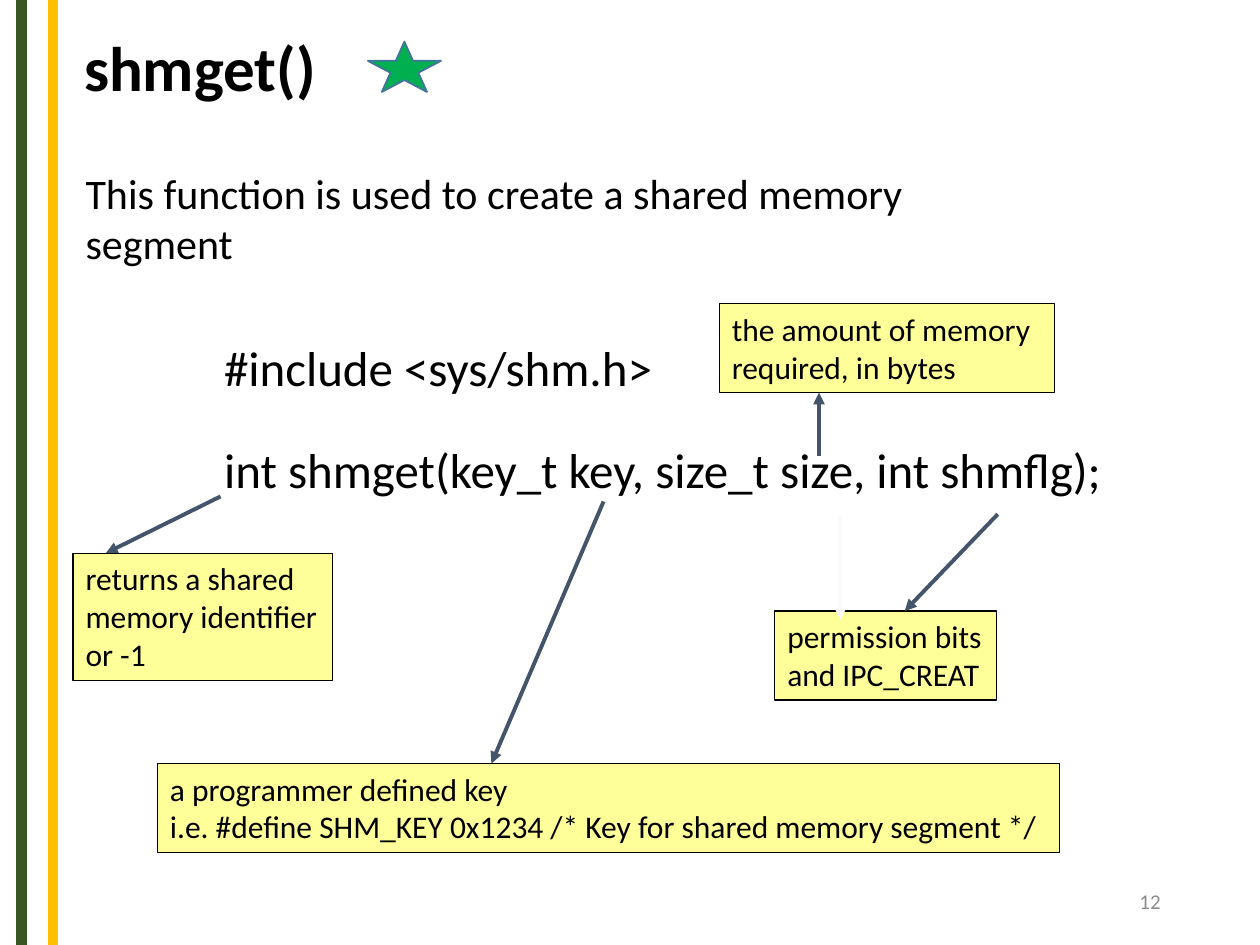
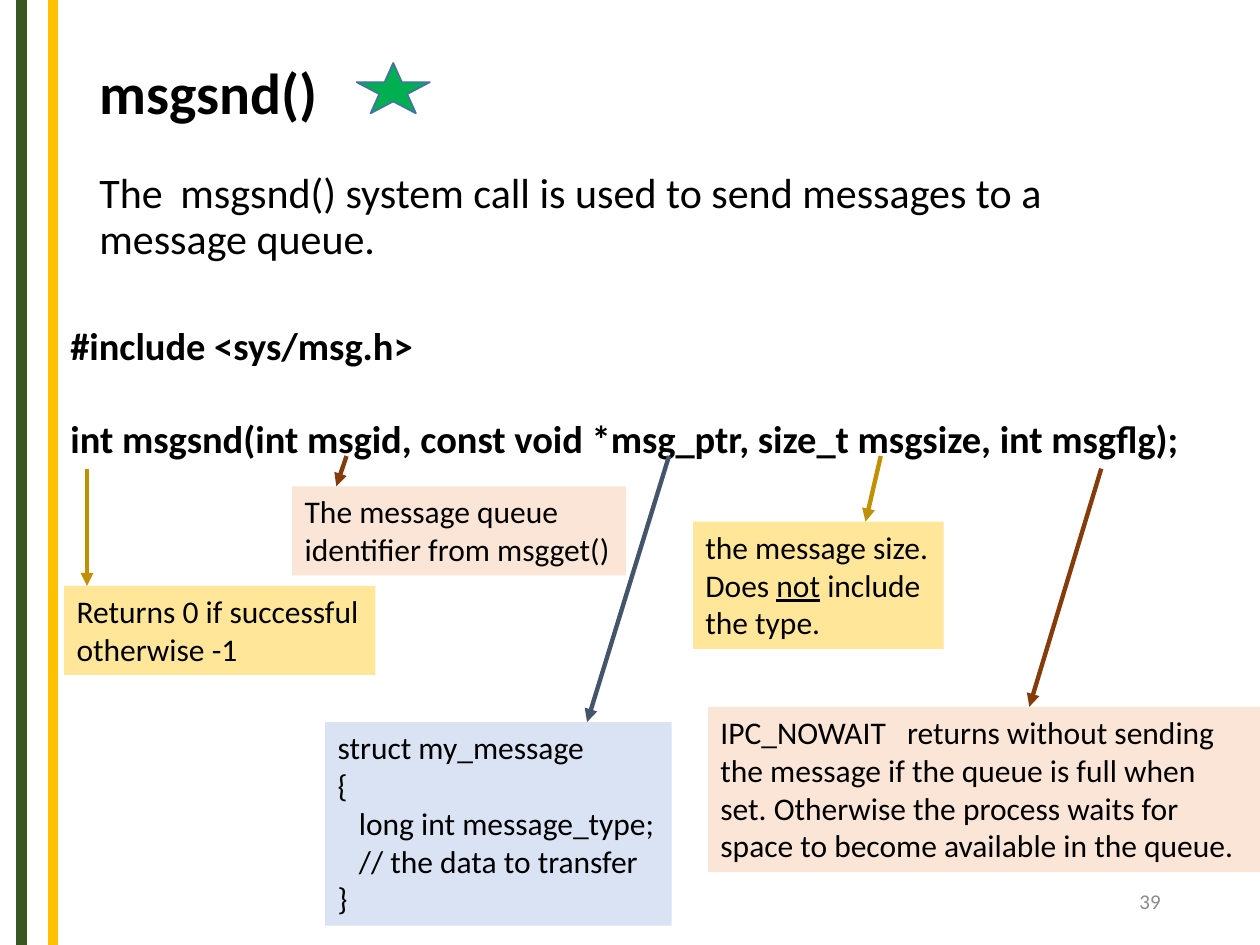
from dataclasses import dataclass

from lxml import etree
from pptx import Presentation
from pptx import util as u
from pptx.dml.color import RGBColor
from pptx.enum import shapes, text
from pptx.oxml.ns import qn


@dataclass(frozen=True)
class Theme:
    font: str = "Calibri"
    ink: str = "000000"
    muted: str = "8C8C8C"
    bands: tuple = (("385723", 12.2), ("FFC000", 30.2))
    band_width: float = 6
    star: str = "00B050"
    star_edge: str = "43739E"
    slate: str = "44546A"
    faint: str = "FAFAFA"
    gold: str = "BF9000"
    rust: str = "843C0B"
    yellow: str = "FFFF99"
    sand: str = "FFE699"
    peach: str = "FBE5D6"
    sky: str = "DAE3F3"
    lead_size: int = 24
    note_size: int = 18
    number_size: int = 12


T = Theme()
WIDTH, HEIGHT = 720, 540
NOTE_LINE, NOTE_PAD = 21.8, 7.3

# A paragraph is a string, or a tuple of runs whose odd members are underlined.
# A note has: paragraphs, left, top, width, fill, arrow colour, arrow start, arrow end x.
SLIDES = [
    dict(
        number="12",
        title=dict(paras=["shmget()"], box=(41, -11.5, 620.6, 104.4), size=36),
        star=(210.2, 23.8),
        lead=dict(paras=["This function is used to create a shared memory segment"],
                  box=(41.8, 92.2, 561.6, 65.5)),
        code=dict(paras=["#include <sys/shm.h>",
                         "int shmget(key_t key, size_t size, int shmflg);"],
                  box=(121, 189.4, 521.3, 99.4), size=28, gap=24.4),
        edge=T.ink,
        arrow_width=2.25,
        notes=[
            (["a programmer defined key",
              "i.e. #define SHM_KEY 0x1234 /* Key for shared memory segment */"],
             90, 436.3, 515.5, T.yellow, T.slate, (344.9, 286.6), 280.8),
            (["returns a shared", "memory identifier", "or -1"],
             41.8, 316.1, 148.3, T.yellow, T.slate, (126, 283.7), 60.5),
            (["the amount of memory", "required, in bytes"],
             411.1, 173.5, 191.5, T.yellow, T.slate, (468, 260.6), 468),
            (["permission bits", "and IPC_CREAT"],
             442.8, 349.2, 126.7, T.yellow, T.slate, (570.2, 293.8), 517),
        ],
        extra_arrows=[((480.2, 293.8), (480.2, 354.2), T.faint)],
    ),
    dict(
        number="39",
        title=dict(paras=["msgsnd()"], box=(49.7, 30, 620.6, 50), size=33),
        star=(203.8, 36),
        lead=dict(paras=["The\tmsgsnd() system call is used to send messages to a "
                         "message queue."],
                  box=(49.7, 95, 620.6, 60), spacing=0.9, tab=46.3),
        code=dict(paras=["#include <sys/msg.h>",
                         "int msgsnd(int msgid, const void *msg_ptr, size_t msgsize, "
                         "int msgflg);"],
                  box=(33.1, 180.7, 654.5, 87.1), size=22, bold=True, gap=26.8),
        edge=None,
        arrow_width=2.5,
        notes=[
            (["Returns 0 if successful", "otherwise -1"],
             36.7, 334.8, 177.8, T.sand, T.gold, (49.7, 267.8), 49.7),
            (["The message queue", "identifier from msgget()"],
             167, 277.9, 190.8, T.peach, T.rust, (198, 260.6), 192.2),
            (["struct my_message", "{", "\tlong int message_type;",
              "\t// the data to transfer", "}"],
             185.8, 412.6, 198, T.sky, T.slate, (382.3, 260.6), 335.5),
            (["the message size.", ("Does ", "not", " include"), "the type."],
             396, 298.1, 143.3, T.sand, T.gold, (503.3, 260.6), 494.6),
            (["IPC_NOWAIT\treturns without sending the message if the queue is full "
              "when set. Otherwise the process waits for space to become available "
              "in the queue."],
             404.6, 403.9, 315.4, T.peach, T.rust, (629.3, 267.8), 588.2),
        ],
        extra_arrows=[],
    ),
]
WRAPPED_LINES = 4
STRUCT_TAB, FLAG_TAB = 12.2, 106.6


def rgb(value):
    return RGBColor.from_string(value)


def pts(*values):
    return [u.Pt(v) for v in values]


def write(sp, paras, size=T.lead_size, color=T.ink, bold=False, spacing=1.0, gap=0,
          tab=None, right=7.2, align=text.PP_ALIGN.LEFT, anchor=text.MSO_ANCHOR.TOP):
    """Fill a shape with paragraphs; gap separates them, tab places one tab stop."""
    tf = sp.text_frame
    tf.word_wrap = True
    tf.vertical_anchor = anchor
    tf.margin_right = u.Pt(right)
    for i, para in enumerate(paras):
        p = tf.paragraphs[0] if i == 0 else tf.add_paragraph()
        p.alignment, p.line_spacing = align, spacing
        p.space_before = u.Pt(gap if i else 0)
        if tab:
            stops = etree.SubElement(p._p.get_or_add_pPr(), qn("a:tabLst"))
            etree.SubElement(stops, qn("a:tab"), pos=str(u.Pt(tab)), algn="l")
        for j, part in enumerate((para,) if isinstance(para, str) else para):
            r = p.add_run()
            r.text = part
            r.font.name, r.font.size, r.font.bold = T.font, u.Pt(size), bold
            r.font.color.rgb = rgb(color)
            if j % 2:
                r.font.underline = True


def text_box(s, paras, box, **fmt):
    write(s.shapes.add_textbox(*pts(*box)), paras, **fmt)


def filled(s, kind, box, fill, edge=None, edge_width=0.75):
    sp = s.shapes.add_shape(kind, *pts(*box))
    sp.shadow.inherit = False
    sp.fill.solid()
    sp.fill.fore_color.rgb = rgb(fill)
    if edge:
        sp.line.color.rgb = rgb(edge)
        sp.line.width = u.Pt(edge_width)
    else:
        sp.line.fill.background()
    return sp


def line(s, start, end, color, width, arrow=False):
    c = s.shapes.add_connector(shapes.MSO_CONNECTOR.STRAIGHT, *pts(*start, *end))
    c.line.color.rgb = rgb(color)
    c.line.width = u.Pt(width)
    if arrow:
        etree.SubElement(c.line._get_or_add_ln(), qn("a:tailEnd"), type="triangle")
    etree.SubElement(c._element.spPr, qn("a:effectLst"))


def note(s, spec, edge, arrow_width):
    """Draw a note and the arrow that reaches its nearer horizontal edge."""
    paras, left, top, width, fill, color, start, end_x = spec
    wrapped = len(paras) == 1
    height = NOTE_LINE * (WRAPPED_LINES if wrapped else len(paras)) + NOTE_PAD
    sp = filled(s, shapes.MSO_SHAPE.RECTANGLE, (left, top, width, height), fill, edge)
    write(sp, paras, size=T.note_size, right=7.2 if wrapped else 0,
          tab=FLAG_TAB if wrapped else STRUCT_TAB)
    end_y = top if start[1] < top else top + height
    line(s, start, (end_x, end_y), color, arrow_width, arrow=True)


def build(prs, d):
    s = prs.slides.add_slide(prs.slide_layouts[6])
    for color, x in T.bands:
        line(s, (x, 0), (x, HEIGHT), color, T.band_width)
    text_box(s, **d["title"], bold=True, spacing=0.9, anchor=text.MSO_ANCHOR.MIDDLE)
    text_box(s, **d["lead"])
    text_box(s, **d["code"])
    for n in d["notes"]:
        note(s, n, d["edge"], d["arrow_width"])
    for start, end, color in d["extra_arrows"]:
        line(s, start, end, color, d["arrow_width"], arrow=True)
    text_box(s, [d["number"]], (508.3, 500.4, 162, 28.8), size=T.number_size,
             color=T.muted, align=text.PP_ALIGN.RIGHT, anchor=text.MSO_ANCHOR.MIDDLE)
    filled(s, shapes.MSO_SHAPE.STAR_5_POINT, (*d["star"], 41.8, 28.8), T.star,
           T.star_edge, 1)


def main():
    prs = Presentation()
    prs.slide_width, prs.slide_height = pts(WIDTH, HEIGHT)
    for d in SLIDES:
        build(prs, d)
    prs.save("out.pptx")


if __name__ == "__main__":
    main()
